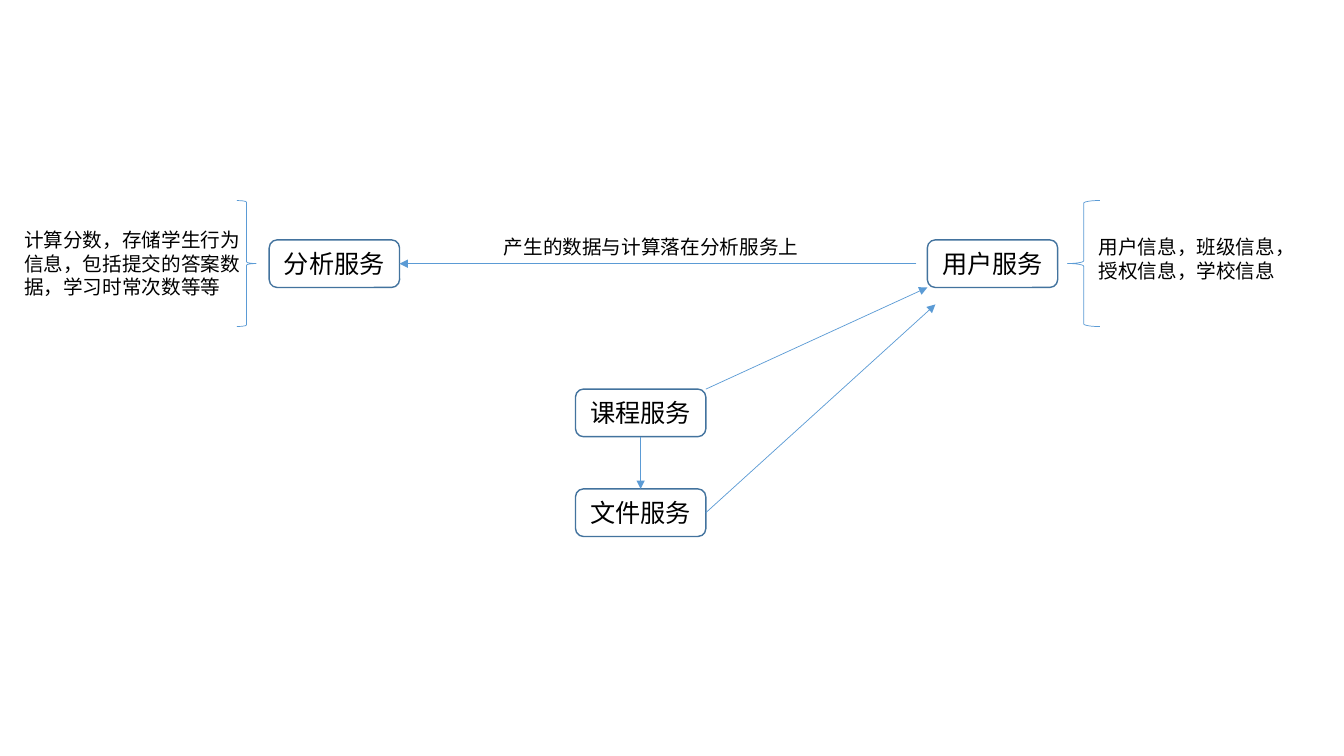
from lxml.etree import SubElement
from pptx import Presentation
from pptx.dml.color import RGBColor
from pptx.enum.shapes import MSO_CONNECTOR, MSO_SHAPE
from pptx.enum.text import MSO_ANCHOR, MSO_AUTO_SIZE, PP_ALIGN
from pptx.oxml.ns import qn
from pptx.util import Inches, Pt

WIDTH, HEIGHT = Inches(13.333), Inches(7.5)
FONT = "Noto Sans CJK SC"
BLACK = RGBColor(0x00, 0x00, 0x00)
WHITE = RGBColor(0xFF, 0xFF, 0xFF)
BORDER = RGBColor(0x43, 0x73, 0x9E)
BLUE = RGBColor(0x5B, 0x9B, 0xD5)

BOX_W, BOX_H = 9.7, 6.3
BRACE_TOP, BRACE_H = 26.53, 16.67
SERVICE_Y = 31.73
COURSE_X = 42.82


def px(share):
    return int(WIDTH * share / 100)


def py(share):
    return int(HEIGHT * share / 100)


def area(x, y, w, h):
    return px(x), py(y), px(w), py(h)


def style_line(line, color, width):
    line.color.rgb = color
    line.width = Pt(width)


def write(tf, text, size, align):
    tf.text = text
    tf.vertical_anchor = MSO_ANCHOR.MIDDLE
    for p in tf.paragraphs:
        p.alignment = align
        for r in p.runs:
            r.font.size = Pt(size)
            r.font.name = FONT
            r.font.color.rgb = BLACK
            SubElement(r.font._element, qn("a:ea"), typeface=FONT)


def add_service(s, name, x, y):
    sp = s.shapes.add_shape(MSO_SHAPE.ROUNDED_RECTANGLE, *area(x, y, BOX_W, BOX_H))
    sp.shadow.inherit = False
    sp.fill.solid()
    sp.fill.fore_color.rgb = WHITE
    style_line(sp.line, BORDER, 1)
    write(sp.text_frame, name, 18, PP_ALIGN.CENTER)


def add_brace(s, kind, x, w):
    sp = s.shapes.add_shape(kind, *area(x, BRACE_TOP, w, BRACE_H))
    sp.shadow.inherit = False
    sp.fill.background()
    style_line(sp.line, BLUE, 0.5)


def add_note(s, text, x, y, w, h):
    tf = s.shapes.add_textbox(*area(x, y, w, h)).text_frame
    tf.word_wrap = False
    tf.auto_size = MSO_AUTO_SIZE.SHAPE_TO_FIT_TEXT
    write(tf, text, 14, PP_ALIGN.LEFT)
    for p in tf.paragraphs:
        p.line_spacing = Pt(16.8)


def add_arrow(s, x1, y1, x2, y2):
    c = s.shapes.add_connector(MSO_CONNECTOR.STRAIGHT, px(x1), py(y1), px(x2), py(y2))
    style_line(c.line, BLUE, 0.5)
    SubElement(c.line._get_or_add_ln(), qn("a:tailEnd"), type="triangle")
    SubElement(c._element.spPr, qn("a:effectLst"))


def main():
    prs = Presentation()
    prs.slide_width, prs.slide_height = WIDTH, HEIGHT
    s = prs.slides.add_slide(prs.slide_layouts[6])

    course_y, file_y = 51.47, 64.67
    analysis_x, user_x = 20.03, 69
    add_service(s, "课程服务", COURSE_X, course_y)
    add_service(s, "文件服务", COURSE_X, file_y)
    add_service(s, "分析服务", analysis_x, SERVICE_Y)
    add_service(s, "用户服务", user_x, SERVICE_Y)

    course_mid, course_right = COURSE_X + BOX_W / 2, COURSE_X + BOX_W
    service_mid = SERVICE_Y + BOX_H / 2
    add_arrow(s, course_mid, course_y + BOX_H, course_mid, file_y)
    add_arrow(s, course_right, course_y, user_x, SERVICE_Y + BOX_H)
    add_arrow(s, 68.18, service_mid, analysis_x + BOX_W, service_mid)
    add_arrow(s, course_right, file_y + BOX_H / 2, 69.6, 40.27)

    add_brace(s, MSO_SHAPE.LEFT_BRACE, 79.43, 2.4)
    add_brace(s, MSO_SHAPE.RIGHT_BRACE, 17.63, 1.43)

    add_note(s, "用户信息，班级信息，\n授权信息，学校信息", 81, 30.4, 16.28, 7.6)
    add_note(s, "产生的数据与计算落在分析服务上", 36.75, 30.4, 23.63, 4.53)
    add_note(s, "计算分数，存储学生行为\n信息，包括提交的答案数\n据，学习时常次数等等",
             1.05, 29.47, 17.7, 10.8)

    prs.save("out.pptx")


if __name__ == "__main__":
    main()
